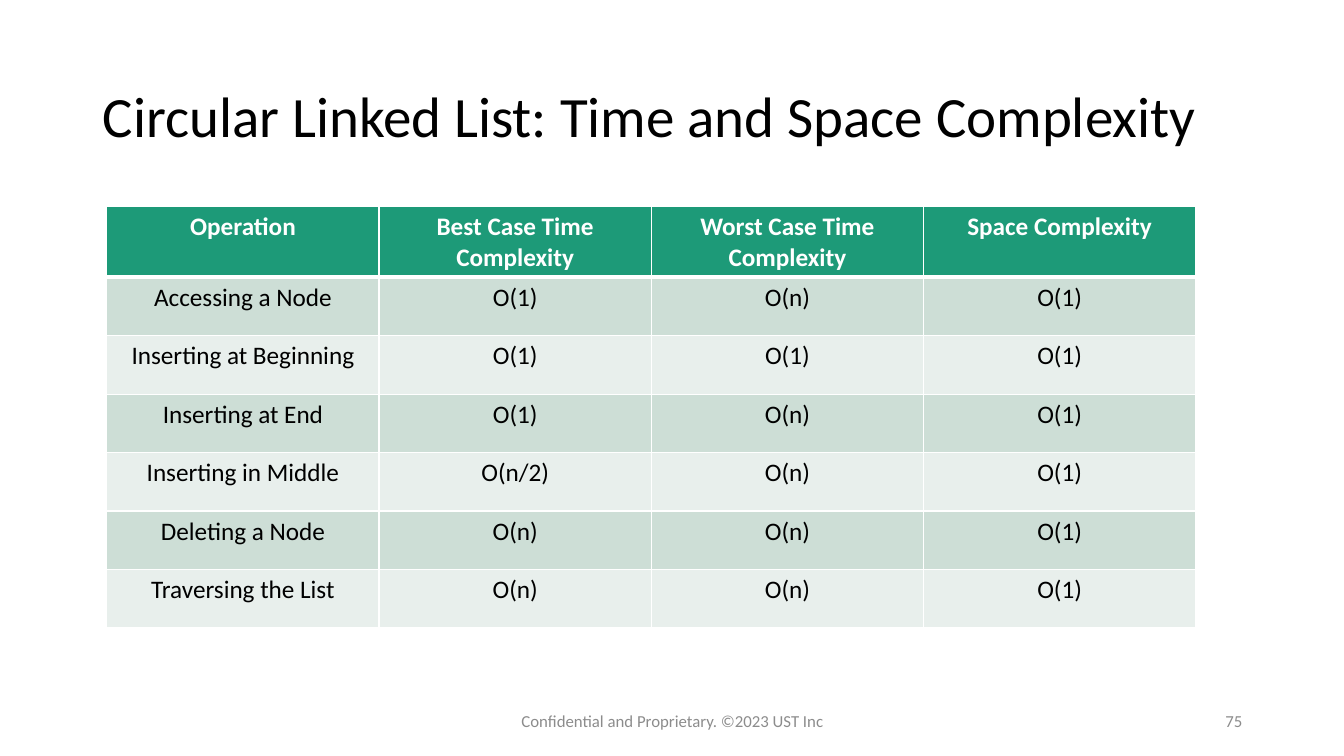
from lxml.etree import SubElement
from pptx import Presentation
from pptx.dml.color import RGBColor
from pptx.enum.text import MSO_ANCHOR, PP_ALIGN
from pptx.oxml.ns import qn
from pptx.util import Inches, Pt

HEADER_FILL = "1D9A78"
BAND_FILLS = ("CDDED6", "E8EFEC")
ROWS = [
    ("Operation", "Best Case Time Complexity", "Worst Case Time Complexity", "Space Complexity"),
    ("Accessing a Node", "O(1)", "O(n)", "O(1)"),
    ("Inserting at Beginning", "O(1)", "O(1)", "O(1)"),
    ("Inserting at End", "O(1)", "O(n)", "O(1)"),
    ("Inserting in Middle", "O(n/2)", "O(n)", "O(1)"),
    ("Deleting a Node", "O(n)", "O(n)", "O(1)"),
    ("Traversing the List", "O(n)", "O(n)", "O(1)"),
]


def rgb(color):
    return RGBColor.from_string(color)


def write(p, text, size, color, align, bold=False):
    p.alignment = align
    r = p.add_run()
    r.text = text
    r.font.name = "Calibri"
    r.font.size = Pt(size)
    r.font.bold = bold
    r.font.color.rgb = rgb(color)


def add_text(s, box, text, size, color, align, anchor=MSO_ANCHOR.MIDDLE, spacing=1.0):
    tf = s.shapes.add_textbox(*(Inches(v) for v in box)).text_frame
    tf.word_wrap = True
    tf.vertical_anchor = anchor
    p = tf.paragraphs[0]
    p.line_spacing = spacing
    write(p, text, size, color, align)


def set_borders(cell, top, bottom):
    tc_pr = cell._tc.get_or_add_tcPr()
    for side, width in (("L", 1), ("R", 1), ("T", top), ("B", bottom)):
        ln = SubElement(tc_pr, qn(f"a:ln{side}"), w=str(Pt(width)))
        fill = SubElement(ln, qn("a:solidFill"))
        SubElement(fill, qn("a:srgbClr"), val="FFFFFF")


def add_complexity_table(s, left, top, col_width, row_height):
    n_rows, n_cols = len(ROWS), len(ROWS[0])
    table = s.shapes.add_table(
        n_rows, n_cols, Inches(left), Inches(top),
        Inches(col_width * n_cols), Inches(row_height * n_rows)).table
    for col in table.columns:
        col.width = Inches(col_width)
    for i, values in enumerate(ROWS):
        table.rows[i].height = Inches(row_height)
        header = i == 0
        for j, value in enumerate(values):
            cell = table.cell(i, j)
            set_borders(cell, 3 if i == 1 else 1, 3 if header else 1)
            cell.fill.solid()
            cell.fill.fore_color.rgb = rgb(HEADER_FILL if header else BAND_FILLS[(i - 1) % 2])
            write(cell.text_frame.paragraphs[0], value, 18,
                  "FFFFFF" if header else "000000", PP_ALIGN.CENTER, header)


def main():
    prs = Presentation()
    prs.slide_width, prs.slide_height = Inches(13.33), Inches(7.5)
    s = prs.slides.add_slide(prs.slide_layouts[6])
    add_text(s, (4.42, 6.95, 4.5, 0.4), "Confidential and Proprietary. ©2023 UST Inc",
             12, "8C8C8C", PP_ALIGN.CENTER)
    add_text(s, (9.42, 6.95, 3, 0.4), "75", 12, "8C8C8C", PP_ALIGN.RIGHT)
    add_text(s, (0.92, 0.58, 11.5, 0.96), "Circular Linked List: Time and Space Complexity",
             40.7, "000000", PP_ALIGN.LEFT, MSO_ANCHOR.BOTTOM, 0.9)
    add_complexity_table(s, 1.06, 2.05, 2.7, 0.58)
    prs.save("out.pptx")


if __name__ == "__main__":
    main()
